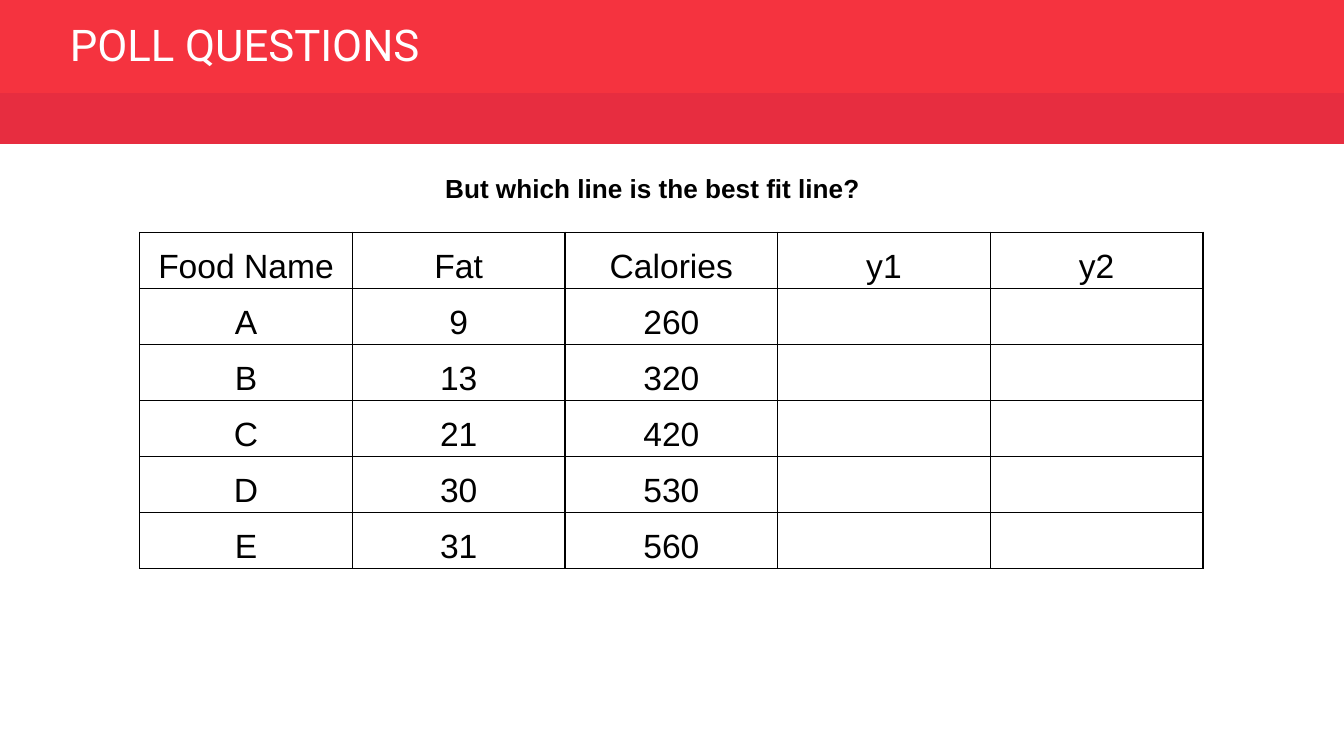
from lxml import etree
from pptx import Presentation
from pptx import util as u
from pptx.dml.color import RGBColor
from pptx.enum import shapes, text
from pptx.oxml import ns

RED = RGBColor(0xF5, 0x33, 0x3F)
DARK_RED = RGBColor(0xE7, 0x2D, 0x40)
WHITE = RGBColor(0xFF, 0xFF, 0xFF)
BLACK = RGBColor(0, 0, 0)


def write(frame, words, size=18, font="Arial", color=BLACK, bold=False,
          align=text.PP_ALIGN.CENTER, spacing=1.0):
    para = frame.paragraphs[0]
    para.alignment = align
    para.line_spacing = spacing
    span = para.add_run()
    span.text = words
    span.font.size = u.Pt(size)
    span.font.name = font
    span.font.bold = bold
    span.font.color.rgb = color


def add_borders(cell, color=BLACK, width=0.75):
    properties = cell._tc.get_or_add_tcPr()
    for side in ("a:lnL", "a:lnR", "a:lnT", "a:lnB"):
        line = etree.SubElement(properties, ns.qn(side), w=str(u.Pt(width)))
        fill = etree.SubElement(line, ns.qn("a:solidFill"))
        etree.SubElement(fill, ns.qn("a:srgbClr"), val=str(color))


deck = Presentation()
deck.slide_width = u.Cm(25.4)
deck.slide_height = u.Cm(14.29)
page = deck.slides.add_slide(deck.slide_layouts[6])

# Header bands
for top, height, color in ((0, 1.78, RED), (1.76, 0.96, DARK_RED)):
    band = page.shapes.add_shape(shapes.MSO_SHAPE.RECTANGLE, 0, u.Cm(top),
                                 deck.slide_width, u.Cm(height))
    band.shadow.inherit = False
    band.fill.solid()
    band.fill.fore_color.rgb = color
    band.line.fill.background()

# Title
title = page.shapes.add_textbox(u.Cm(1.07), u.Cm(0.36), u.Cm(11.91), u.Cm(1.12))
title.text_frame.word_wrap = True
title.text_frame.vertical_anchor = text.MSO_ANCHOR.MIDDLE
write(title.text_frame, "POLL QUESTIONS", size=23.4, font="Roboto",
      color=WHITE, align=text.PP_ALIGN.LEFT, spacing=0.8)

# Question
question = page.shapes.add_textbox(u.Cm(5.16), u.Cm(3), u.Cm(14.35), u.Cm(0.97))
question.text_frame.word_wrap = True
question.text_frame.margin_top = question.text_frame.margin_bottom = u.Cm(0.25)
write(question.text_frame, "But which line is the best fit line?",
      size=14, bold=True)

# Food table, with y1 and y2 left open
rows = [
    ("Food Name", "Fat", "Calories", "y1", "y2"),
    ("A", "9", "260", "", ""),
    ("B", "13", "320", "", ""),
    ("C", "21", "420", "", ""),
    ("D", "30", "530", "", ""),
    ("E", "31", "560", "", ""),
]
COLUMN_WIDTH, ROW_HEIGHT = 4.02, 1.06
table = page.shapes.add_table(
    len(rows), len(rows[0]), u.Cm(2.64), u.Cm(4.39),
    u.Cm(COLUMN_WIDTH * len(rows[0])), u.Cm(ROW_HEIGHT * len(rows))).table
table.first_row = table.horz_banding = False
for column in table.columns:
    column.width = u.Cm(COLUMN_WIDTH)
for table_row, values in zip(table.rows, rows):
    table_row.height = u.Cm(ROW_HEIGHT)
    for cell, value in zip(table_row.cells, values):
        add_borders(cell)
        cell.fill.background()
        cell.vertical_anchor = text.MSO_ANCHOR.BOTTOM
        cell.margin_left = cell.margin_right = u.Cm(0.08)
        cell.margin_top = cell.margin_bottom = u.Cm(0.05)
        if value:
            write(cell.text_frame, value, spacing=1.15)

deck.save("out.pptx")
